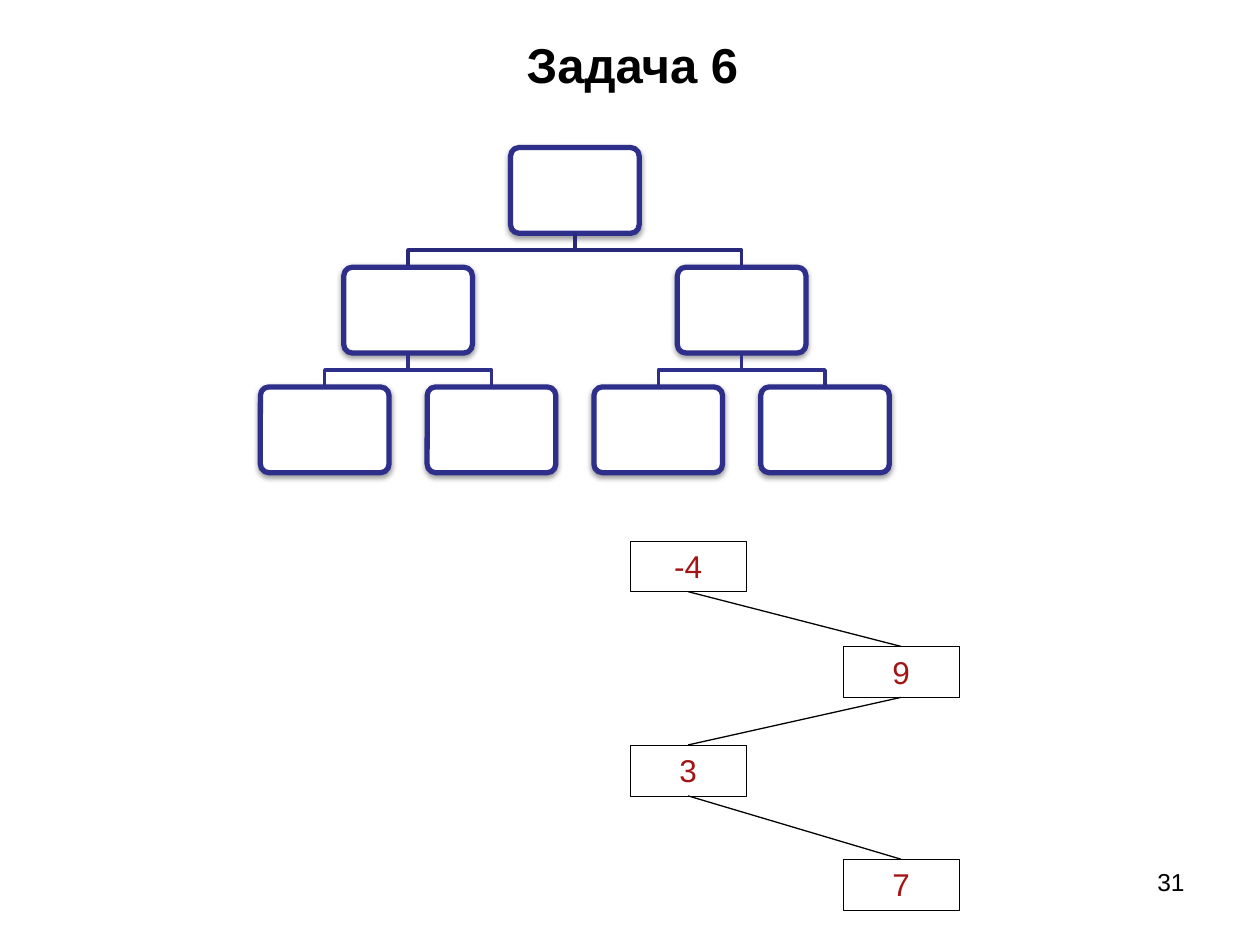
import pptx
import pptx.util
import pptx.dml.color
import pptx.enum.shapes
import pptx.enum.text
import pptx.oxml
import pptx.oxml.ns

Pt = pptx.util.Pt
RGB = pptx.dml.color.RGBColor
KIND = pptx.enum.shapes.MSO_SHAPE
ALIGN = pptx.enum.text.PP_ALIGN
ANCHOR = pptx.enum.text.MSO_ANCHOR

BLACK = RGB(0x00, 0x00, 0x00)
WHITE = RGB(0xFF, 0xFF, 0xFF)
RED = RGB(0xA3, 0x15, 0x15)
BLUE = RGB(0x2E, 0x2E, 0x8B)
NAVY = RGB(0x29, 0x29, 0x7B)

NS = pptx.oxml.ns.nsdecls("a")
SHADOW = (f'<a:effectLst {NS}><a:outerShdw blurRad="{Pt(3.1)}" dist="{Pt(1.6)}" '
          'dir="5400000" rotWithShape="0"><a:srgbClr val="000000">'
          '<a:alpha val="38000"/></a:srgbClr></a:outerShdw></a:effectLst>')
EMPTY = f"<a:effectLst {NS}/>"


def put_text(shape, text, size, color, align, anchor, bold=False):
    frame = shape.text_frame
    frame.word_wrap = True
    frame.vertical_anchor = anchor
    frame.text = text
    para = frame.paragraphs[0]
    para.alignment = align
    font = para.runs[0].font
    font.name, font.size, font.bold = "Arial", Pt(size), bold
    font.color.rgb = color


def set_effect(shape, xml):
    shape._element.spPr.append(pptx.oxml.parse_xml(xml))


deck = pptx.Presentation()
deck.slide_width, deck.slide_height = Pt(720), Pt(540)
slide = deck.slides.add_slide(deck.slide_layouts[6])
shapes = slide.shapes

# Slide number and title
box = shapes.add_textbox(Pt(516.2), Pt(491.8), Pt(167.8), Pt(37.4))
put_text(box, "31", 14, BLACK, ALIGN.RIGHT, ANCHOR.TOP)
box = shapes.add_textbox(Pt(37.4), Pt(12.2), Pt(648), Pt(48.2))
put_text(box, "Задача 6", 28, BLACK, ALIGN.CENTER, ANCHOR.MIDDLE, True)

# Chain of numbers
LEFT, RIGHT = 360, 481.7
chain = []
for text, x, y in [("-4", LEFT, 309), ("9", RIGHT, 369.4),
                   ("3", LEFT, 425.7), ("7", RIGHT, 491)]:
    box = shapes.add_shape(KIND.RECTANGLE, Pt(x), Pt(y), Pt(66.4), Pt(29.1))
    box.shadow.inherit = False
    box.fill.background()
    box.line.color.rgb = BLACK
    box.line.width = Pt(0.25)
    put_text(box, text, 18, RED, ALIGN.CENTER, ANCHOR.TOP)
    box.text_frame.auto_size = pptx.enum.text.MSO_AUTO_SIZE.SHAPE_TO_FIT_TEXT
    chain.append(box)

for start, end in zip(chain, chain[1:]):
    link = shapes.add_connector(pptx.enum.shapes.MSO_CONNECTOR.STRAIGHT, 0, 0, 0, 0)
    link.begin_connect(start, 2)
    link.end_connect(end, 0)
    link.line.color.rgb = BLACK
    link.line.width = Pt(0.75)
    set_effect(link, EMPTY)

# Empty binary tree: each row has twice the nodes of the row above
WIDE, HIGH, STEP = 73.5, 49, 68.4
MID, TOP, SPAN = 328.5, 84.3, 381.2
tree = shapes.add_group_shape().shapes
for row in range(3):
    count = 2 ** row
    gap = SPAN / count
    y = TOP + row * STEP
    for col in range(count):
        x = MID + (col - (count - 1) / 2) * gap

        # Elbow line from the parent
        if row:
            up = x + gap / 2 if col % 2 == 0 else x - gap / 2
            base = y - STEP + HIGH
            bend = (base + y) / 2
            path = tree.build_freeform(Pt(up), Pt(base))
            path.add_line_segments([(Pt(up), Pt(bend)), (Pt(x), Pt(bend)),
                                    (Pt(x), Pt(y))], close=False)
            elbow = path.convert_to_shape()
            elbow.shadow.inherit = False
            elbow.fill.background()
            elbow.line.color.rgb = NAVY if row == 1 else BLUE
            elbow.line.width = Pt(2)

        # Node
        node = tree.add_shape(KIND.ROUNDED_RECTANGLE, Pt(x - WIDE / 2), Pt(y),
                              Pt(WIDE), Pt(HIGH))
        node.adjustments[0] = 0.1
        node.fill.solid()
        node.fill.fore_color.rgb = WHITE
        node.line.color.rgb = BLUE
        node.line.width = Pt(3)
        set_effect(node, SHADOW)

deck.save("out.pptx")
